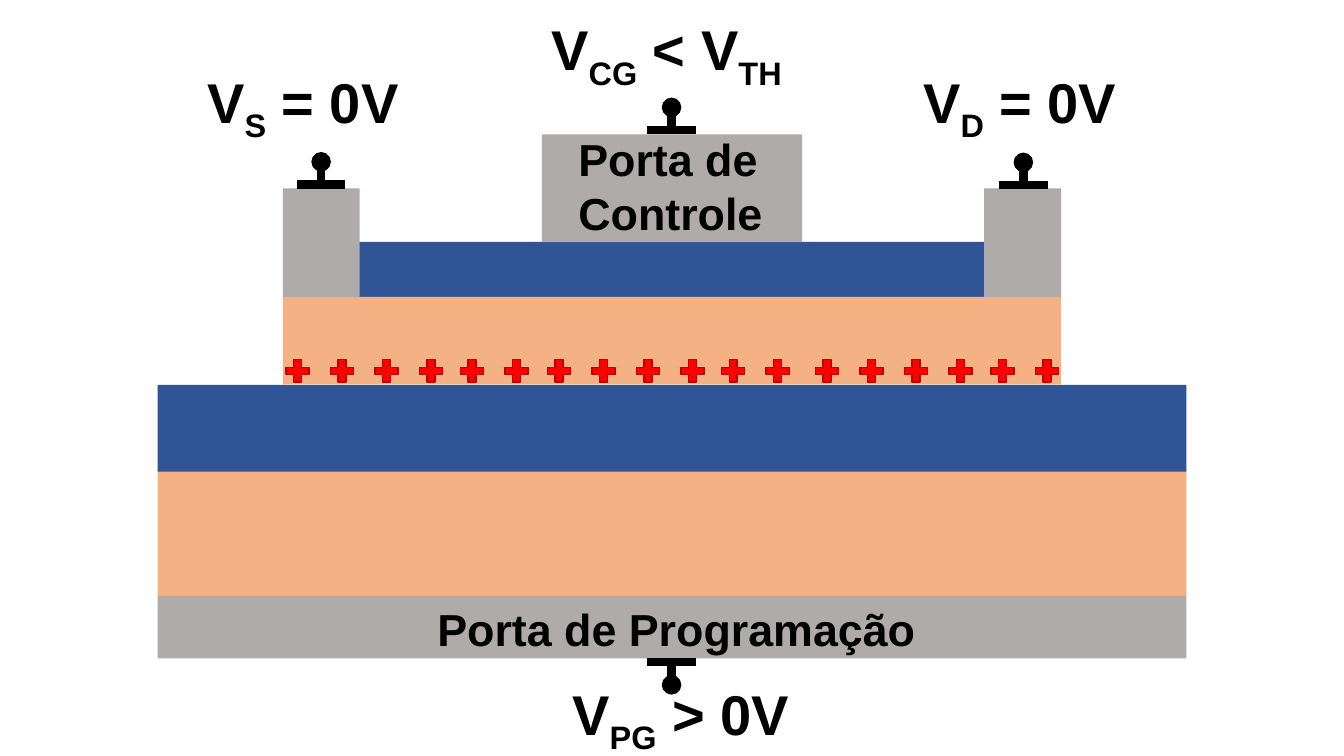
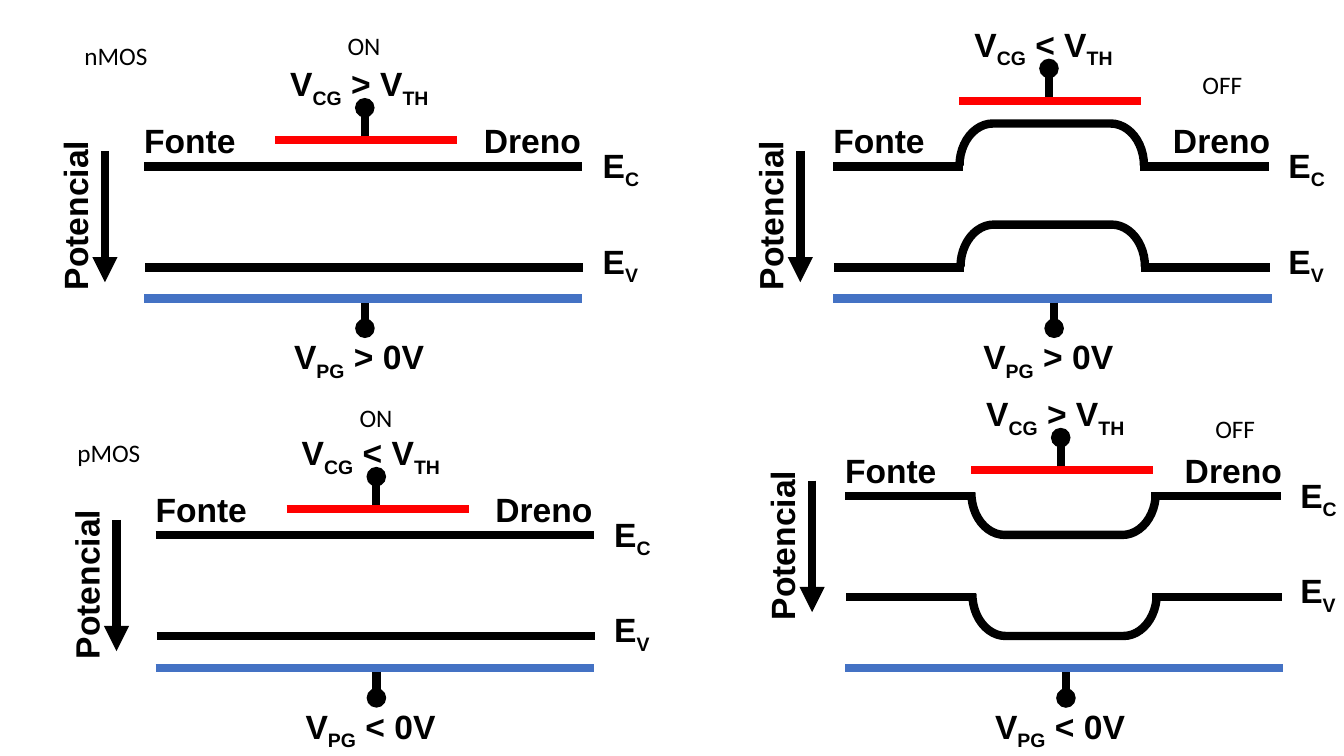
import pptx
import pptx.util
import pptx.dml.color
import pptx.enum.shapes
import pptx.enum.text
import pptx.oxml
import pptx.oxml.ns

Pt = pptx.util.Pt
RGB = pptx.dml.color.RGBColor
SHAPE = pptx.enum.shapes.MSO_SHAPE
FIT = pptx.enum.text.MSO_AUTO_SIZE.SHAPE_TO_FIT_TEXT

BLACK = RGB(0x00, 0x00, 0x00)
GREY = RGB(0xAF, 0xAB, 0xAB)
PEACH = RGB(0xF4, 0xB1, 0x83)
NAVY = RGB(0x2F, 0x55, 0x97)
BLUE = RGB(0x44, 0x72, 0xC4)
RED = RGB(0xFF, 0x00, 0x00)
WINE = RGB(0xC0, 0x00, 0x00)

STROKE = 6
BALL = 14
LARGE = {"name": "Arial", "size": Pt(40), "bold": True}
GATE = {"name": "Arial", "size": Pt(32), "bold": True}
BAND = {"name": "Arial", "size": Pt(24), "bold": True}
NOTE = {"name": "Calibri", "size": Pt(18), "bold": False}

# Device section: left, top, width, height, colour
LAYERS = [
    (112.5, 335.3, 735, 90.7, PEACH),
    (112.5, 425.7, 735, 44.6, GREY),
    (256, 172.8, 448, 39.6, NAVY),
    (202, 212, 556, 62.6, PEACH),
    (112.5, 275, 735, 62, NAVY),
    (202, 134.6, 55, 77.6, GREY),
    (703, 134.6, 55, 77.6, GREY),
    (387, 96, 186, 77, GREY),
]
# Contact: centre, stem start, direction (-1 up, 1 down)
PINS = [(479.7, 94.3, -1), (229.4, 133.2, -1), (731, 133.6, -1), (479.7, 471.6, 1)]
# Text (subscripts between underscores), left, top, width, height
VOLTS = [
    ("V_CG_ < V_TH_", 386.8, 7.2, 190.8, 55.4),
    ("V_PG_ > 0V", 401.8, 481.7, 175.7, 55.4),
    ("V_S_ = 0V", 141, 44.9, 154.8, 55.4),
    ("V_D_ = 0V", 652.4, 44.9, 156.2, 55.4),
]
GATES = [
    ("Porta de Programação", 305.3, 426.3, 442.8, 46),
    ("Porta de\nControle", 406, 90.6, 154.8, 85),
]
# Runs of holes: left of the first, count
HOLES = [(204.3, 4), (329, 2), (391, 4), (515.5, 2), (582.5, 4), (707.8, 2)]
HOLE_STEP = 31.8

# Band diagrams: left, level of Ec, bend (-1 up, 0 flat, 1 down),
# height of the gate above Ec, depth of the plate below Ec, control, program
BANDS = [
    (103, 118.8, 0, 18.7, 94.3, "V_CG_ > V_TH_", "V_PG_ > 0V"),
    (595.3, 118.8, -1, 46.8, 94.3, "V_CG_ < V_TH_", "V_PG_ > 0V"),
    (111.2, 382.3, 0, 18.7, 94.8, "V_CG_ < V_TH_", "V_PG_ < 0V"),
    (603.7, 354.4, 1, 18.7, 122.8, "V_CG_ > V_TH_", "V_PG_ < 0V"),
]
NOTES = [
    ("nMOS", 53.3, 25.2, 59.8, 29),
    ("ON", 241.2, 18, 38.2, 29),
    ("OFF", 851.8, 46, 43.2, 29),
    ("pMOS", 48.2, 308.9, 59.8, 29),
    ("ON", 249.8, 283.7, 38.2, 29),
    ("OFF", 861, 291.6, 43.2, 29),
]
SPAN, ARM, GAP = 313, 92.7, 72.2
WIDE, DEEP = 131.8, 30.2


def draw(slide, kind, left, top, width, height, fill=None, line=None, weight=1):
    shape = slide.shapes.add_shape(kind, Pt(left), Pt(top), Pt(width), Pt(height))
    shape.shadow.inherit = False
    if fill is None:
        shape.fill.background()
    else:
        shape.fill.solid()
        shape.fill.fore_color.rgb = fill
    if line is None:
        shape.line.fill.background()
    else:
        shape.line.color.rgb = line
        shape.line.width = Pt(weight)
    return shape


def rule(slide, x1, y1, x2, y2, color=BLACK, arrow=False):
    """Draw a thick straight line."""
    line = slide.shapes.add_connector(
        pptx.enum.shapes.MSO_CONNECTOR.STRAIGHT, Pt(x1), Pt(y1), Pt(x2), Pt(y2))
    line.line.color.rgb = color
    line.line.width = Pt(STROKE)
    if arrow:
        tail = pptx.oxml.parse_xml(
            "<a:tailEnd %s type='triangle'/>" % pptx.oxml.ns.nsdecls("a"))
        line.line._get_or_add_ln().append(tail)
    line._element.spPr.append(
        pptx.oxml.parse_xml("<a:effectLst %s/>" % pptx.oxml.ns.nsdecls("a")))


def write(slide, text, left, top, width, height, style, wrap=False):
    """Add a text box; every second part between underscores is a subscript."""
    box = slide.shapes.add_textbox(Pt(left), Pt(top), Pt(width), Pt(height))
    frame = box.text_frame
    frame.word_wrap = wrap
    frame.auto_size = FIT
    for row, words in enumerate(text.split("\n")):
        para = frame.add_paragraph() if row else frame.paragraphs[0]
        for i, part in enumerate(words.split("_")):
            if not part:
                continue
            run = para.add_run()
            run.text = part
            run.font.color.rgb = BLACK
            for name, value in style.items():
                setattr(run.font, name, value)
            if i % 2:
                run._r.get_or_add_rPr().set("baseline", "-25000")
    return box


def pin(slide, x, y, way, reach):
    """Draw a stem that ends in a ball."""
    rule(slide, x, y, x, y + way * 20)
    mid = y + way * reach
    draw(slide, SHAPE.OVAL, x - BALL / 2, mid - BALL / 2, BALL, BALL, BLACK)


def level(slide, left, y, bend):
    """Draw one energy level, flat or bent under the gate."""
    if not bend:
        rule(slide, left, y, left + SPAN, y)
        return
    mid = left + 156
    shift = -15.5 if bend < 0 else 12.6
    curve = draw(slide, SHAPE.RIGHT_BRACKET, mid - DEEP / 2, y + shift - WIDE / 2,
                 DEEP, WIDE, line=BLACK, weight=STROKE)
    curve.adjustments[0] = 0.79
    curve.rotation = 90 * bend % 360
    for start in (left, left + SPAN - 1.5 - ARM):
        rule(slide, start, y, start + ARM, y)


def diagram(slide, left, top, bend, rise, drop, control, program):
    for i, name in enumerate(("E_C_", "E_V_")):
        level(slide, left + i * 0.7, top + i * GAP, bend)
        write(slide, name, left + (318 if bend else 320.4),
              top - 19 + i * 68.4, 42, 36, BAND)
    plate = top + drop
    rule(slide, left, plate, left + SPAN, plate, BLUE)
    pin(slide, left + 157.7, plate + 3, 1, 18.4)
    write(slide, program, left + 100, plate + 23.5, 110.9, 36, BAND)

    gate, high = left + (90 if bend else 93.6), top - rise
    rule(slide, gate, high, gate + 130, high, RED)
    pin(slide, gate + 64, high - 2.6, -1, 20.5)
    write(slide, control, gate + 3.6, high - 58.5, 120.2, 36, BAND)

    write(slide, "Fonte", left - 7.2, top - 36.4, 80.6, 36, BAND)
    write(slide, "Dreno", left + 235.5, top - 36.7, 84.2, 36, BAND)
    axis = left - (23.6 if bend else 28)
    rule(slide, axis, top - 11, axis, top + 82.8, arrow=True)
    box = write(slide, "Potencial", axis - 82.8, top + 16.4, 122.4, 36, BAND)
    box.rotation = 270


def device(slide):
    for left, top, width, height, color in LAYERS:
        draw(slide, SHAPE.RECTANGLE, left, top, width, height, color)
    for x, y, way in PINS:
        pin(slide, x, y, way, 17.6)
        bar = y + way * 1.4
        rule(slide, x - 17.4, bar, x + 17.4, bar)
    for item in VOLTS:
        write(slide, *item, LARGE)
    for first, count in HOLES:
        for i in range(count):
            hole = draw(slide, SHAPE.CROSS, first + i * HOLE_STEP, 257,
                        16.5, 16, RED, WINE)
            hole.adjustments[0] = 0.34
    for item in GATES:
        write(slide, *item, GATE, wrap=True)


def bands(slide):
    for item in BANDS:
        diagram(slide, *item)
    for item in NOTES:
        write(slide, *item, NOTE)


def main():
    deck = pptx.Presentation()
    deck.slide_width, deck.slide_height = Pt(960), Pt(540)
    blank = deck.slide_layouts[6]
    for build in (device, bands):
        build(deck.slides.add_slide(blank))
    deck.save("out.pptx")


if __name__ == "__main__":
    main()
